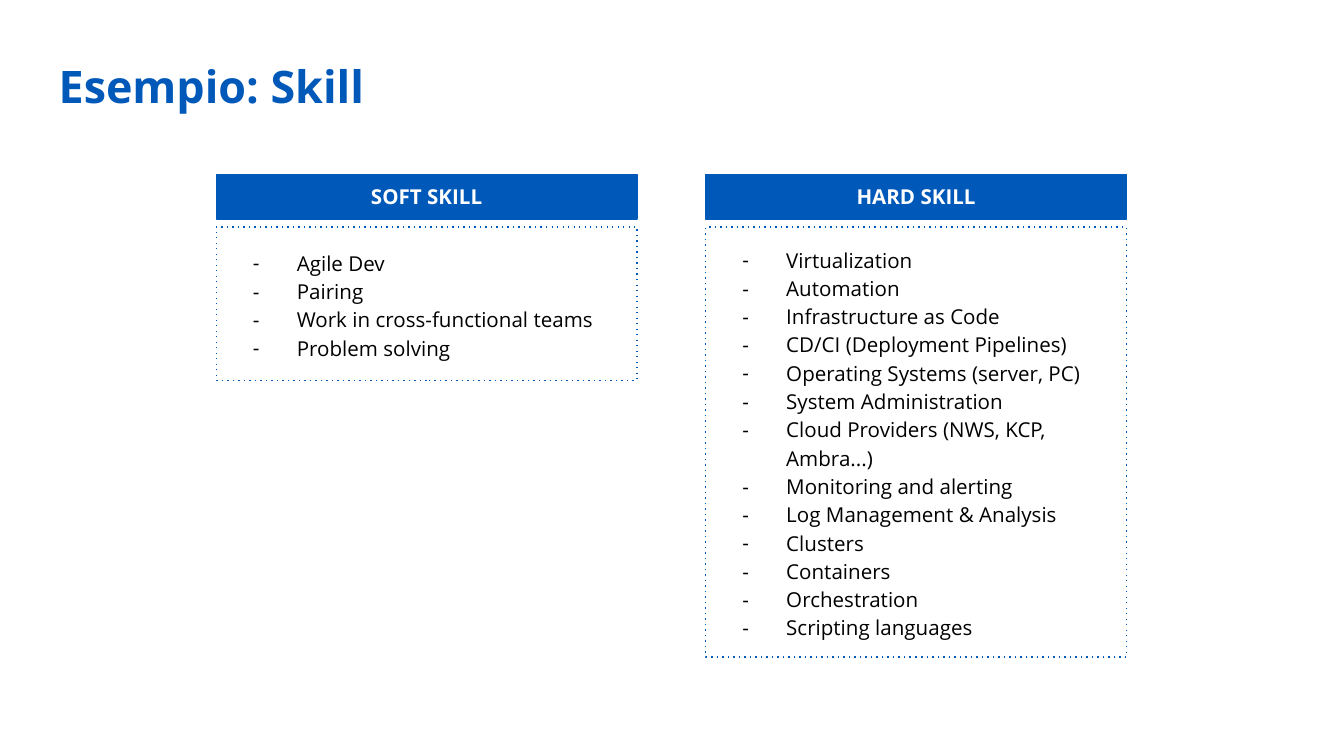
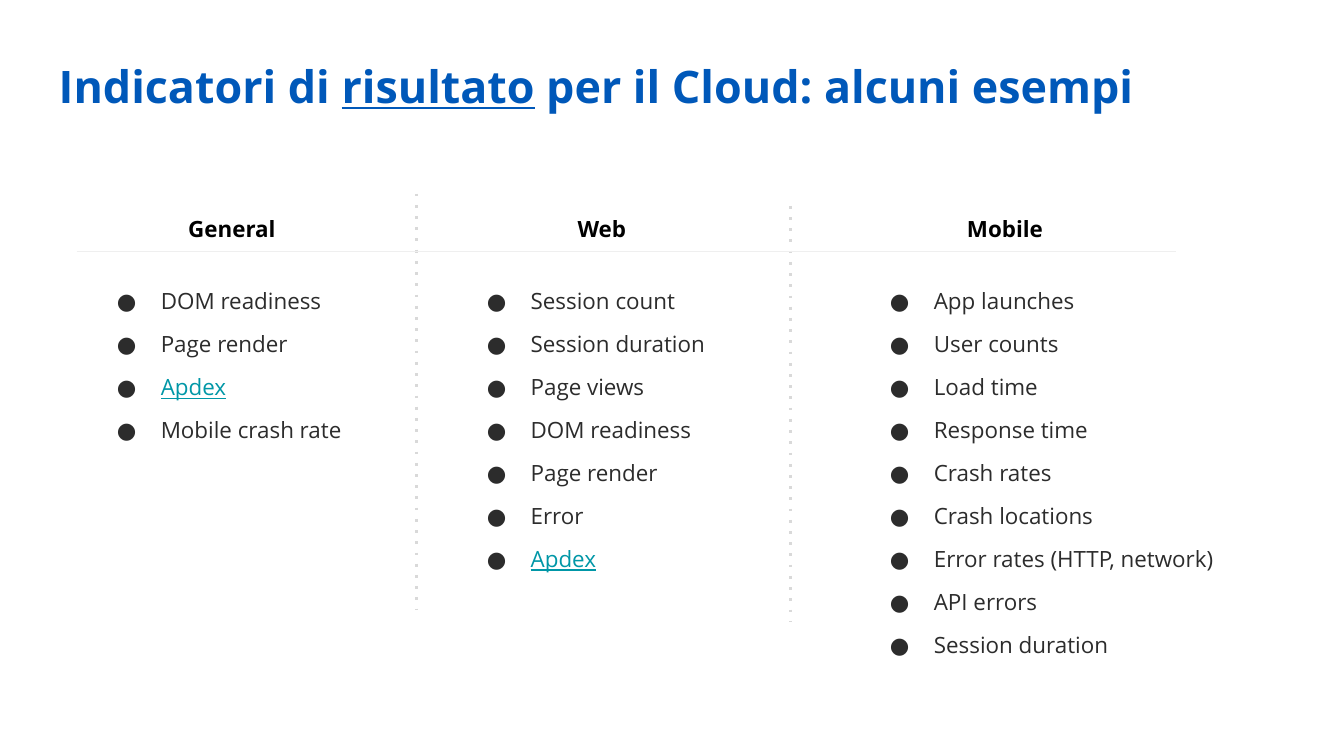
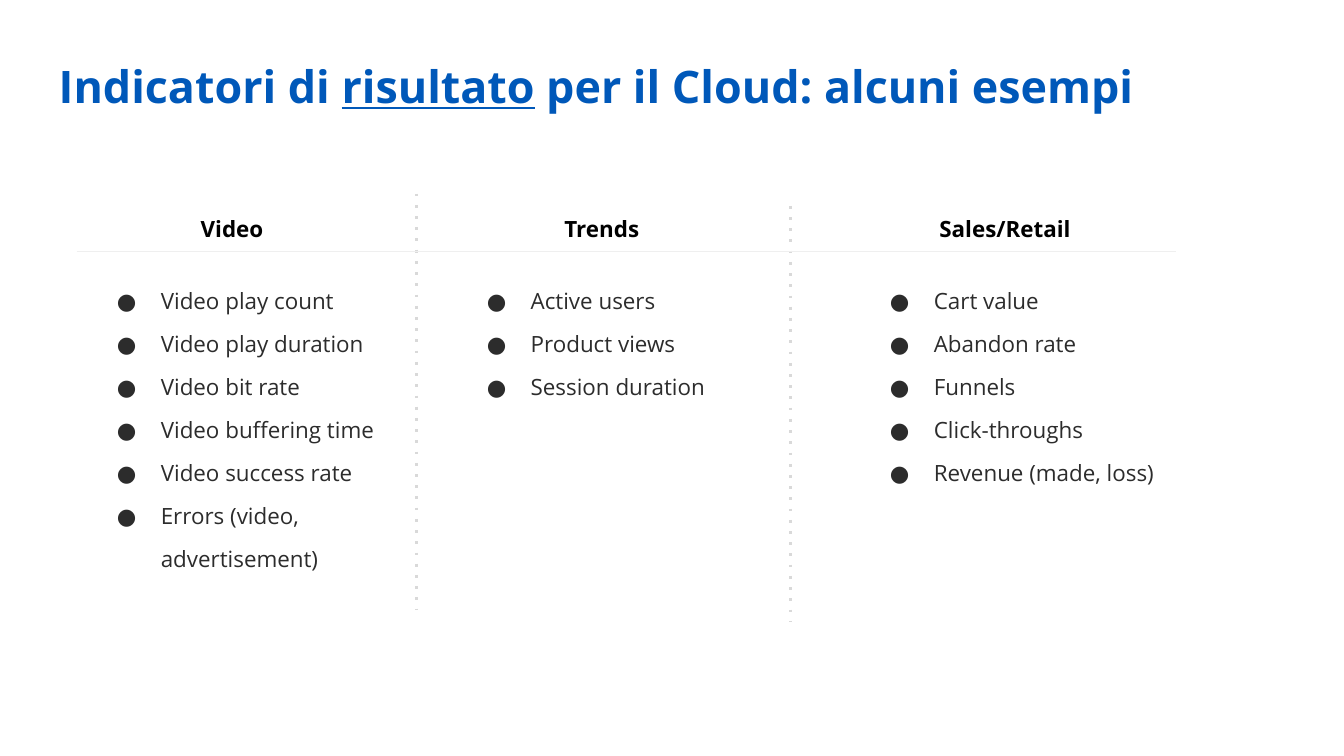
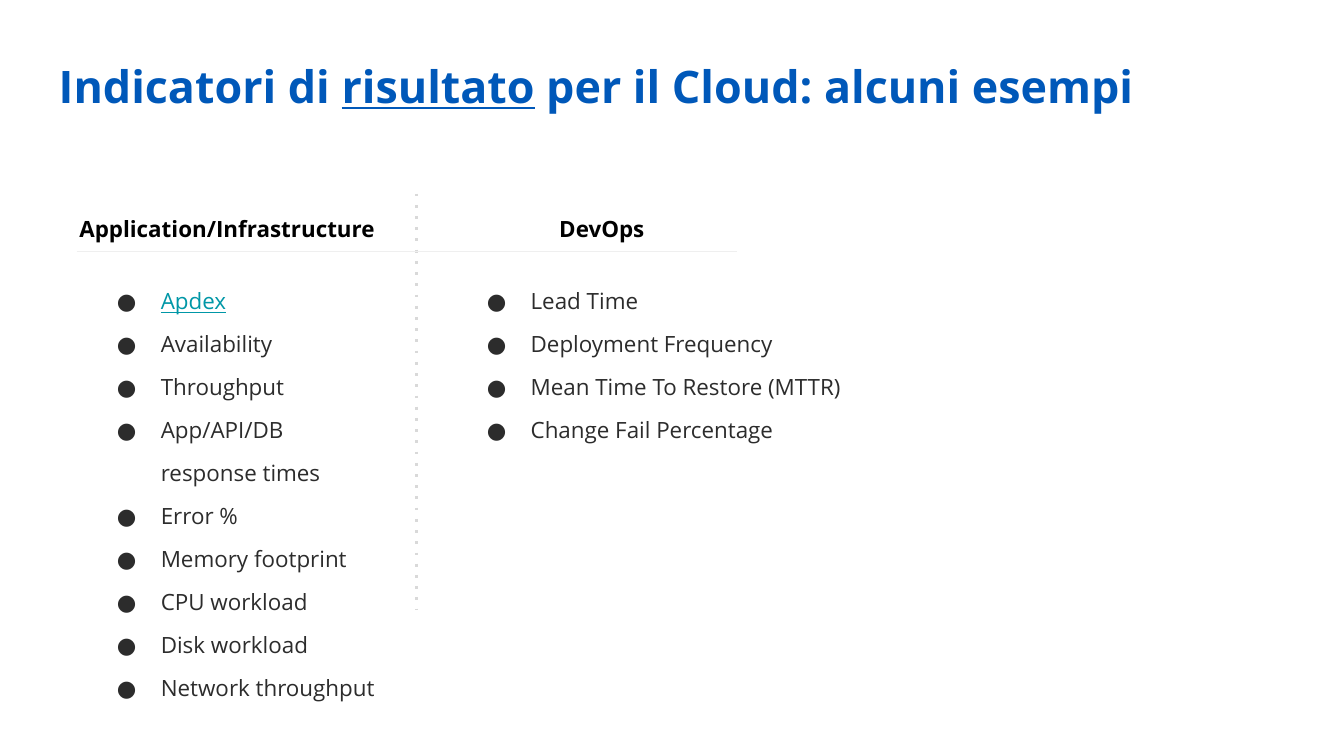
from lxml import etree
from pptx import Presentation
from pptx import util as u
from pptx.dml.color import RGBColor
from pptx.enum import shapes, text
from pptx.oxml.ns import qn

BLUE, BLACK, WHITE, INK, LINK = "0058B9", "000000", "FFFFFF", "2C2C2C", "0097A7"
DIVIDER, RULE = "D9D9D9", "EFEFEF"
FONT = "Open Sans"

LINKED = {"Apdex"}
RESULT_TITLE = ["Indicatori di ", "risultato", " per il Cloud: alcuni esempi"]

# Skill panels: heading, items, height of the list box
SKILLS = [
    ("SOFT SKILL", ["Agile Dev", "Pairing", "Work in cross-functional teams",
                    "Problem solving"], 2.9),
    ("HARD SKILL", ["Virtualization", "Automation", "Infrastructure as Code",
                    "CD/CI (Deployment Pipelines)",
                    "Operating Systems (server, PC)",
                    "System Administration",
                    "Cloud Providers (NWS, KCP, Ambra...)",
                    "Monitoring and alerting", "Log Management & Analysis",
                    "Clusters", "Containers", "Orchestration",
                    "Scripting languages"], 8.13),
]

# Indicator slides: heading and items of each column
INDICATORS = [
    [("General", ["DOM readiness", "Page render", "Apdex", "Mobile crash rate"]),
     ("Web", ["Session count", "Session duration", "Page views",
              "DOM readiness", "Page render", "Error", "Apdex"]),
     ("Mobile", ["App launches", "User counts", "Load time", "Response time",
                 "Crash rates", "Crash locations",
                 "Error rates (HTTP, network)", "API errors",
                 "Session duration"])],
    [("Video", ["Video play count", "Video play duration", "Video bit rate",
                "Video buffering time", "Video success rate",
                "Errors (video, advertisement)"]),
     ("Trends", ["Active users", "Product views", "Session duration"]),
     ("Sales/Retail", ["Cart value", "Abandon rate", "Funnels",
                       "Click-throughs", "Revenue (made, loss)"])],
    [("Application/Infrastructure",
      ["Apdex", "Availability", "Throughput", "App/API/DB\nresponse times",
       "Error %", "Memory footprint", "CPU workload", "Disk workload",
       "Network throughput"]),
     ("DevOps", ["Lead Time", "Deployment Frequency",
                 "Mean Time To Restore (MTTR)", "Change Fail Percentage"])],
]

# Column grid in cm: left and width of each list, dividers as (x, top)
COLUMNS = [(1.52, 6.17), (8.51, 7.8), (16.13, 7.37)]
DIVIDERS = [(7.87, 3.66), (14.94, 3.89)]
RULE_ENDS = {2: 13.92, 3: 22.22}


def color(value):
    return RGBColor.from_string(value)


class Slides:
    def __init__(self):
        self.deck = Presentation()
        self.deck.slide_width, self.deck.slide_height = u.Cm(25.4), u.Cm(14.29)
        self.page = None

    def new_page(self, title_parts):
        self.page = self.deck.slides.add_slide(self.deck.slide_layouts[6])
        para = self.text_box(0.86, 0.86, 23.67, 1.6).paragraphs[0]
        for number, part in enumerate(title_parts):
            span = para.add_run()
            span.text = part
            self.style(span.font, 24, BLUE, bold=True)
            span.font.underline = number == 1

    def style(self, font, size, hue, bold=False):
        font.name, font.size, font.bold = FONT, u.Pt(size), bold
        font.color.rgb = color(hue)

    def frame(self, box, anchor):
        frame = box.text_frame
        frame.word_wrap = True
        frame.vertical_anchor = anchor
        frame.margin_left = frame.margin_right = u.Cm(0.25)
        frame.margin_top = frame.margin_bottom = u.Cm(0.25)
        return frame

    def text_box(self, left, top, width, height):
        box = self.page.shapes.add_textbox(*map(u.Cm, (left, top, width, height)))
        return self.frame(box, text.MSO_ANCHOR.TOP)

    def panel(self, left, top, width, height, fill=None):
        box = self.page.shapes.add_shape(
            shapes.MSO_SHAPE.RECTANGLE, *map(u.Cm, (left, top, width, height)))
        box.shadow.inherit = False
        if fill:
            box.fill.solid()
            box.fill.fore_color.rgb = color(fill)
        else:
            box.fill.background()
        box.line.color.rgb = color(BLUE)
        box.line.width = u.Pt(0.75)
        if not fill:
            self.dot(box)
        return self.frame(box, text.MSO_ANCHOR.MIDDLE)

    def dot(self, item):
        outline = item.element.spPr.find(qn("a:ln"))
        etree.SubElement(outline, qn("a:prstDash"), val="dot")

    def heading(self, frame, words, size, hue, spacing=1.0):
        para = frame.paragraphs[0]
        para.text = words
        para.alignment = text.PP_ALIGN.CENTER
        para.line_spacing = spacing
        self.style(para.runs[0].font, size, hue, bold=True)

    def bullets(self, frame, items, mark, size, hue, spacing, before=0):
        for number, item in enumerate(items):
            para = frame.add_paragraph() if number else frame.paragraphs[0]
            para.text = item
            para.alignment = text.PP_ALIGN.LEFT
            para.line_spacing = spacing
            para.space_before = u.Pt(0 if number else before)
            for span in para.runs:
                linked = item in LINKED
                self.style(span.font, size, LINK if linked else hue)
                span.font.underline = linked
            # Hanging bullet in the text colour
            props = para._p.get_or_add_pPr()
            props.set("marL", str(u.Cm(1.27)))
            props.set("indent", str(-u.Cm(0.83)))
            tint = etree.SubElement(props, qn("a:buClr"))
            etree.SubElement(tint, qn("a:srgbClr"), val=hue)
            etree.SubElement(props, qn("a:buFont"), typeface=FONT)
            etree.SubElement(props, qn("a:buChar"), char=mark)

    def line(self, x1, y1, x2, y2, hue, width, dotted=False):
        link = self.page.shapes.add_connector(
            shapes.MSO_CONNECTOR.STRAIGHT, *map(u.Cm, (x1, y1, x2, y2)))
        link.line.color.rgb = color(hue)
        link.line.width = u.Pt(width)
        if dotted:
            self.dot(link)
        etree.SubElement(link.element.spPr, qn("a:effectLst"))

    def skills(self):
        self.new_page(["Esempio: Skill"])
        width, pitch = 7.95, 9.25
        for number, (name, items, height) in enumerate(SKILLS):
            left = 4.09 + number * pitch
            band = self.panel(left, 3.3, width, 0.84, BLUE)
            band.margin_top = band.margin_bottom = u.Cm(0.1)
            self.heading(band, name, 11, WHITE)
            self.bullets(self.panel(left, 4.29, width, height),
                         items, "-", 11, BLACK, 1.15)

    def indicators(self, columns):
        self.new_page(RESULT_TITLE)
        for (left, width), (name, items) in zip(COLUMNS, columns):
            # A long heading takes a wider box
            at, span = (1.07, 6.45) if len(name) > 20 else (left + 0.3, 5.13)
            self.heading(self.text_box(at, 3.56, span, 1.6), name, 12, BLACK, 1.5)
            self.bullets(self.text_box(left, 4.88, width, 6.88),
                         items, "●", 12, INK, 1.6, before=3)
        for x, top in DIVIDERS[:len(columns) - 1]:
            self.line(x, top, x, top + 7.87, DIVIDER, 1.5, dotted=True)
        self.line(1.45, 4.75, RULE_ENDS[len(columns)], 4.75, RULE, 0.75)


def main():
    slides = Slides()
    slides.skills()
    for columns in INDICATORS:
        slides.indicators(columns)
    slides.deck.save("out.pptx")


if __name__ == "__main__":
    main()
